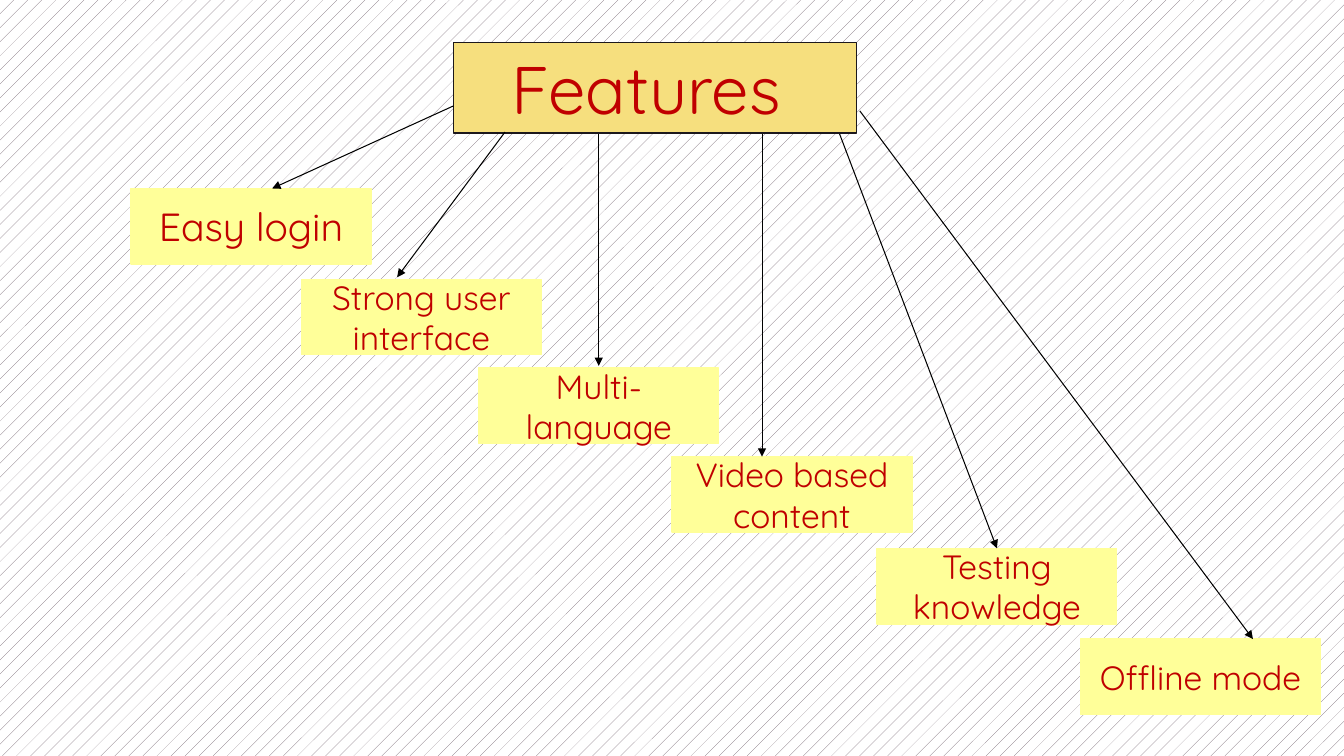
from lxml import etree
from pptx import Presentation
from pptx.dml.color import RGBColor
from pptx.enum.dml import MSO_PATTERN
from pptx.enum.shapes import MSO_CONNECTOR, MSO_SHAPE
from pptx.enum.text import MSO_ANCHOR, MSO_AUTO_SIZE, PP_ALIGN
from pptx.oxml.ns import qn
from pptx.util import Inches, Pt

HATCH = MSO_PATTERN.PERCENT_5
RECTANGLE = MSO_SHAPE.RECTANGLE
STRAIGHT = MSO_CONNECTOR.STRAIGHT
MIDDLE = MSO_ANCHOR.MIDDLE
NO_AUTOFIT = MSO_AUTO_SIZE.NONE
CENTER = PP_ALIGN.CENTER

COLORS = {
    "paper": "FFFFFF",
    "hatch": "72626E",
    "title_fill": "F6DF7E",
    "title_line": "1C181C",
    "feature": "FFFF99",
    "text": "C00000",
    "arrow": "000000",
}
FONT = "Quicksand"
TITLE_ONLY = 5
COLUMNS, ROWS = 40, 30
FEATURE_WIDTH, FEATURE_HEIGHT = 7.14, 3

FEATURES = [
    ("Easy login", 28, (3.9, 7.48), (13.5, 4.2), (8.1, 7.48)),
    ("Strong user interface", 24, (8.97, 11.08), (15.03, 5.24), (11.82, 11)),
    ("Multi-language", 24, (14.25, 14.6), (17.82, 5.32), (17.82, 14.52)),
    ("Video based content", 24, (20, 18.12), (22.68, 5.32), (22.68, 18.12)),
    ("Testing knowledge", 24, (26.1, 21.76), (24.99, 5.32), (29.67, 21.76)),
    ("Offline mode", 24, (32.16, 25.36), (25.59, 4.4), (37.29, 25.36)),
]


def color(name):
    return RGBColor.from_string(COLORS[name])


class FeatureMap:
    def __init__(self, presentation):
        self.column = presentation.slide_width / COLUMNS
        self.row = presentation.slide_height / ROWS
        self.slide = presentation.slides.add_slide(presentation.slide_layouts[TITLE_ONLY])

    def point(self, column, row):
        return round(column * self.column), round(row * self.row)

    def background(self):
        fill = self.slide.background.fill
        fill.patterned()
        fill.pattern = HATCH
        fill.fore_color.rgb = color("hatch")
        fill.back_color.rgb = color("paper")

    def style(self, shape, text, size, fill, line):
        shape.fill.solid()
        shape.fill.fore_color.rgb = color(fill)
        shape.line.color.rgb = color(line)
        shape.line.width = Pt(1)
        shape.shadow.inherit = False
        frame = shape.text_frame
        frame.text = text
        frame.word_wrap = True
        frame.auto_size = NO_AUTOFIT
        frame.vertical_anchor = MIDDLE
        paragraph = frame.paragraphs[0]
        paragraph.alignment = CENTER
        paragraph.font.name = FONT
        paragraph.font.size = Pt(size)
        paragraph.font.color.rgb = color("text")

    def title(self, text, size, position, extent):
        shape = self.slide.shapes.title
        shape.left, shape.top = self.point(*position)
        shape.width, shape.height = self.point(*extent)
        properties = shape.element.spPr
        geometry = etree.SubElement(properties, qn("a:prstGeom"), prst="roundRect")
        etree.SubElement(geometry, qn("a:avLst"))
        self.style(shape, text, size, "title_fill", "title_line")

    def feature(self, text, size, position):
        extent = self.point(FEATURE_WIDTH, FEATURE_HEIGHT)
        shape = self.slide.shapes.add_shape(RECTANGLE, *self.point(*position), *extent)
        self.style(shape, text, size, "feature", "feature")

    def arrow(self, start, end):
        connector = self.slide.shapes.add_connector(
            STRAIGHT, *self.point(*start), *self.point(*end)
        )
        connector.line.color.rgb = color("arrow")
        connector.line.width = Pt(0.75)
        etree.SubElement(connector.line._get_or_add_ln(), qn("a:tailEnd"), type="triangle")
        etree.SubElement(connector.element.spPr, qn("a:effectLst"))


def main():
    presentation = Presentation()
    presentation.slide_width = Inches(13.33)
    presentation.slide_height = Inches(7.5)
    feature_map = FeatureMap(presentation)
    feature_map.background()
    feature_map.title("Features ", 48, (13.5, 1.68), (12, 3.6))
    for text, size, position, start, end in FEATURES:
        feature_map.feature(text, size, position)
        feature_map.arrow(start, end)
    presentation.save("out.pptx")


if __name__ == "__main__":
    main()
